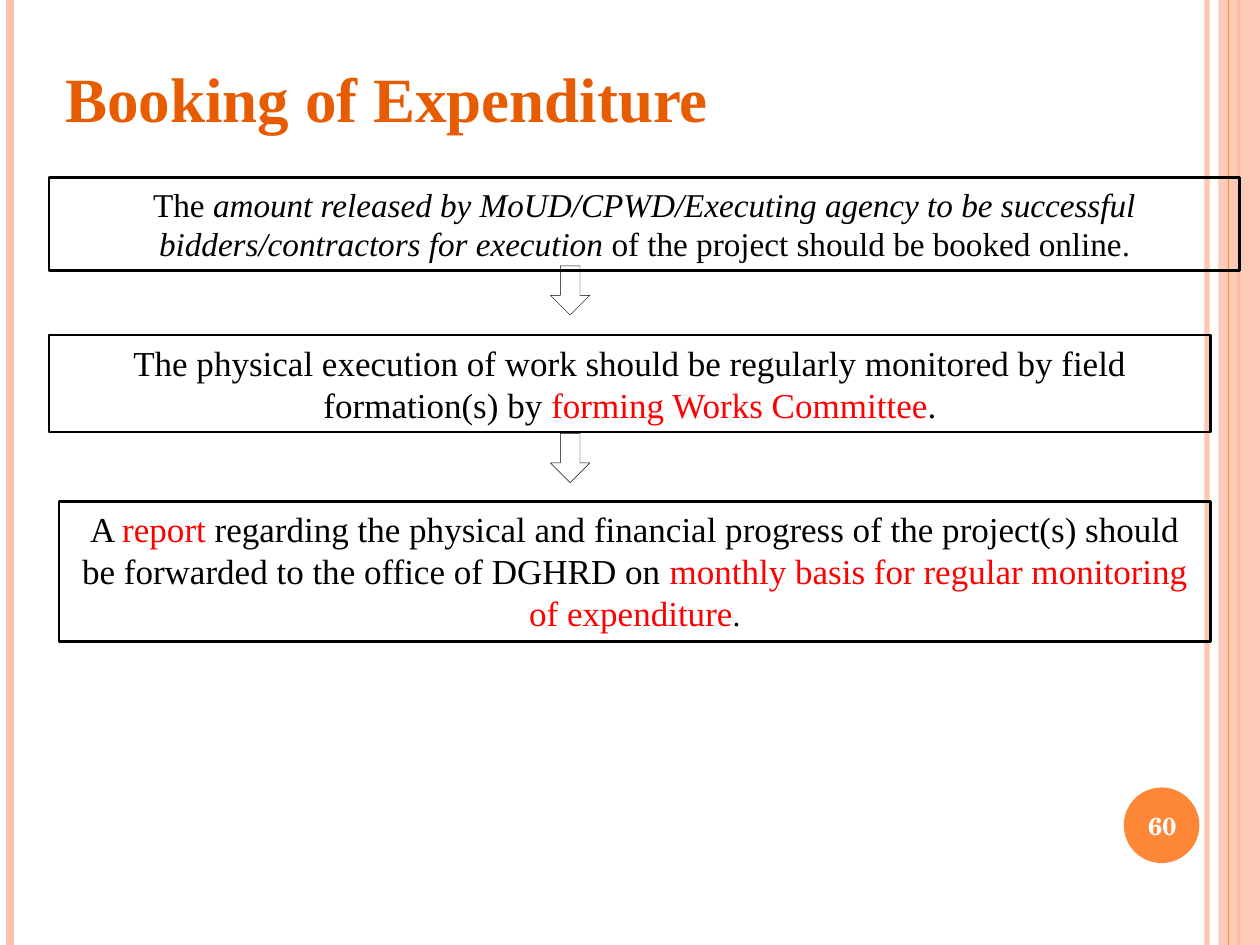
"""Build the Booking of Expenditure slide with its three linked steps."""
from lxml.etree import SubElement
from pptx import Presentation
from pptx.dml.color import RGBColor
from pptx.enum.shapes import MSO_CONNECTOR as Connector, MSO_SHAPE as Shape
from pptx.enum.text import MSO_ANCHOR as Anchor, MSO_AUTO_SIZE as AutoSize, PP_ALIGN as Align
from pptx.oxml.ns import qn
from pptx.util import Pt

COLORS = {
    "white": "FFFFFF", "black": "000000", "red": "FF0000",
    "title": "E75C01", "orange": "FE8637", "peach": "FEC3AE",
}
WIDTH, HEIGHT = 720, 540
SERIF = "Times New Roman"

STRIPES = [
    (689.8, "peach", 3, 93),
    (5.8, "peach", 4.5, 100),
    (707.8, "orange", 1.5, 100),
]
EDGE_STRIPE = (702, "orange", 0.75, 100)

STEPS = [
    ((28.1, 191.5, 663.8, 55.4), 20, [
        ("The physical execution of work should be regularly monitored by field formation(s) by ", {}),
        ("forming Works Committee", {"color": "red"}),
        (".", {}),
    ]),
    ((33.8, 286.6, 658.1, 79.9), 20, [
        ("A ", {}),
        ("report", {"color": "red"}),
        (" regarding the physical and financial progress of the project(s) should be forwarded "
         "to the office of DGHRD on ", {}),
        ("monthly basis for regular monitoring of expenditure", {"color": "red"}),
        (".", {"size": 18}),
    ]),
    ((28.1, 101.5, 680.4, 53.3), 19, [
        ("The ", {}),
        ("amount released by MoUD/CPWD/Executing agency to be successful bidders/contractors "
         "for execution", {"italic": True}),
        (" of the project should be booked online", {}),
        (".", {"size": 18}),
    ]),
]
ARROW_TOPS = [151.9, 247.7]


def rgb(name):
    """Return the named colour."""
    return RGBColor.from_string(COLORS[name])


def set_alpha(fill_parent, percent):
    """Make the solid fill inside an element partly transparent."""
    color = fill_parent.find(qn("a:solidFill"))[0]
    SubElement(color, qn("a:alpha")).set("val", str(percent * 1000))


def add_stripe(slide, x, color, weight, opacity):
    """Draw a full-height vertical stripe."""
    stripe = slide.shapes.add_connector(Connector.STRAIGHT, Pt(x), Pt(0), Pt(x), Pt(HEIGHT))
    stripe.line.color.rgb = rgb(color)
    stripe.line.width = Pt(weight)
    properties = stripe._element.spPr
    if opacity < 100:
        set_alpha(properties.find(qn("a:ln")), opacity)
    SubElement(properties, qn("a:effectLst"))


def add_block(slide, kind, bounds, fill=None, line=None, weight=1):
    """Add a flat preset shape with an optional fill and outline."""
    block = slide.shapes.add_shape(kind, *map(Pt, bounds))
    block.shadow.inherit = False
    if fill:
        block.fill.solid()
        block.fill.fore_color.rgb = rgb(fill)
    else:
        block.fill.background()
    if line:
        block.line.color.rgb = rgb(line)
        block.line.width = Pt(weight)
    else:
        block.line.fill.background()
    return block


def write(holder, runs, align, frame_format, **base):
    """Write one paragraph of formatted runs into a shape."""
    frame = holder.text_frame
    for name, value in {"word_wrap": True, **frame_format}.items():
        setattr(frame, name, value)
    paragraph = frame.paragraphs[0]
    paragraph.alignment = align
    for text, changes in runs:
        style = {"name": SERIF, "color": "black", "bold": False, "italic": False, **base, **changes}
        run = paragraph.add_run()
        run.text = text
        run.font.color.rgb = rgb(style.pop("color"))
        style["size"] = Pt(style["size"])
        for name, value in style.items():
            setattr(run.font, name, value)


def add_title(slide, text):
    """Place and format the slide title."""
    title = slide.shapes.title
    bounds = {"left": 30.2, "top": 30.2, "width": 663.8, "height": 51.1}
    for name, value in bounds.items():
        setattr(title, name, Pt(value))
    frame_format = {"vertical_anchor": Anchor.MIDDLE, "auto_size": AutoSize.NONE}
    write(title, [(text, {})], Align.LEFT, frame_format, size=36, color="title", bold=True)


def add_page_number(slide, number):
    """Draw the page number badge."""
    add_block(slide, Shape.OVAL, (642.2, 450, 43.2, 43.2), fill="orange")
    label = slide.shapes.add_textbox(Pt(640.1), Pt(451.4), Pt(48.2), Pt(41))
    write(label, [(number, {})], Align.CENTER, {"vertical_anchor": Anchor.MIDDLE},
          size=14, name="TeX Gyre Schola", color="white", bold=True)


def add_step(slide, bounds, size, runs):
    """Add one outlined step of the procedure."""
    step = add_block(slide, Shape.RECTANGLE, bounds, line="black", weight=1.5)
    frame_format = {"vertical_anchor": Anchor.TOP, "auto_size": AutoSize.SHAPE_TO_FIT_TEXT}
    write(step, runs, Align.CENTER, frame_format, size=size)


def main():
    """Assemble and save the slide."""
    deck = Presentation()
    deck.slide_width, deck.slide_height = Pt(WIDTH), Pt(HEIGHT)
    slide = deck.slides.add_slide(deck.slide_layouts[5])
    for stripe in STRIPES:
        add_stripe(slide, *stripe)
    band = add_block(slide, Shape.RECTANGLE, (696.2, 0, 23.8, HEIGHT), fill="peach")
    set_alpha(band._element.spPr, 87)
    add_stripe(slide, *EDGE_STRIPE)
    add_page_number(slide, "60")
    for top in ARROW_TOPS:
        add_block(slide, Shape.DOWN_ARROW, (314.6, top, 22.5, 28.1), "white", "black", 0.25)
    for step in STEPS:
        add_step(slide, *step)
    add_title(slide, "Booking of Expenditure")
    deck.save("out.pptx")


if __name__ == "__main__":
    main()
